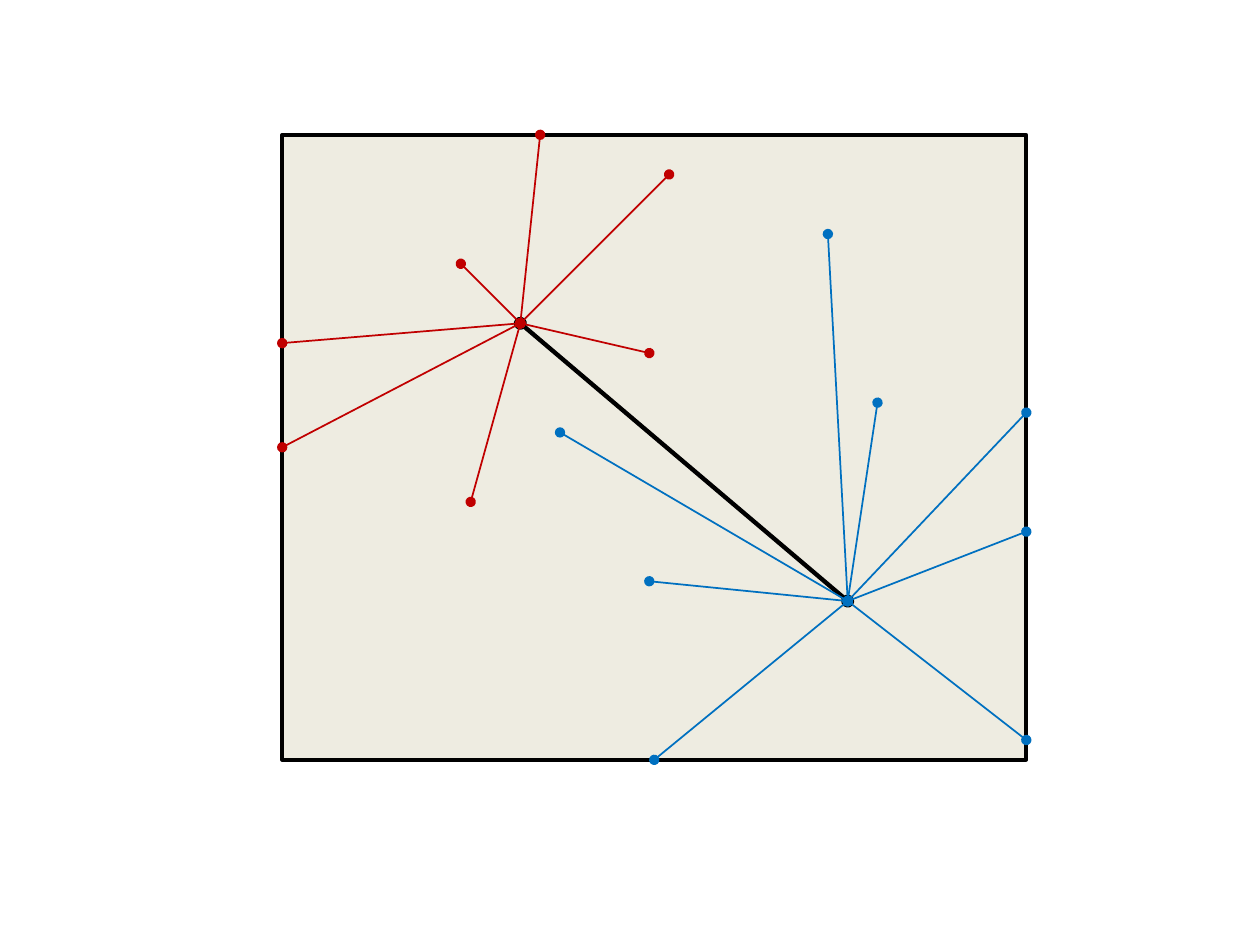
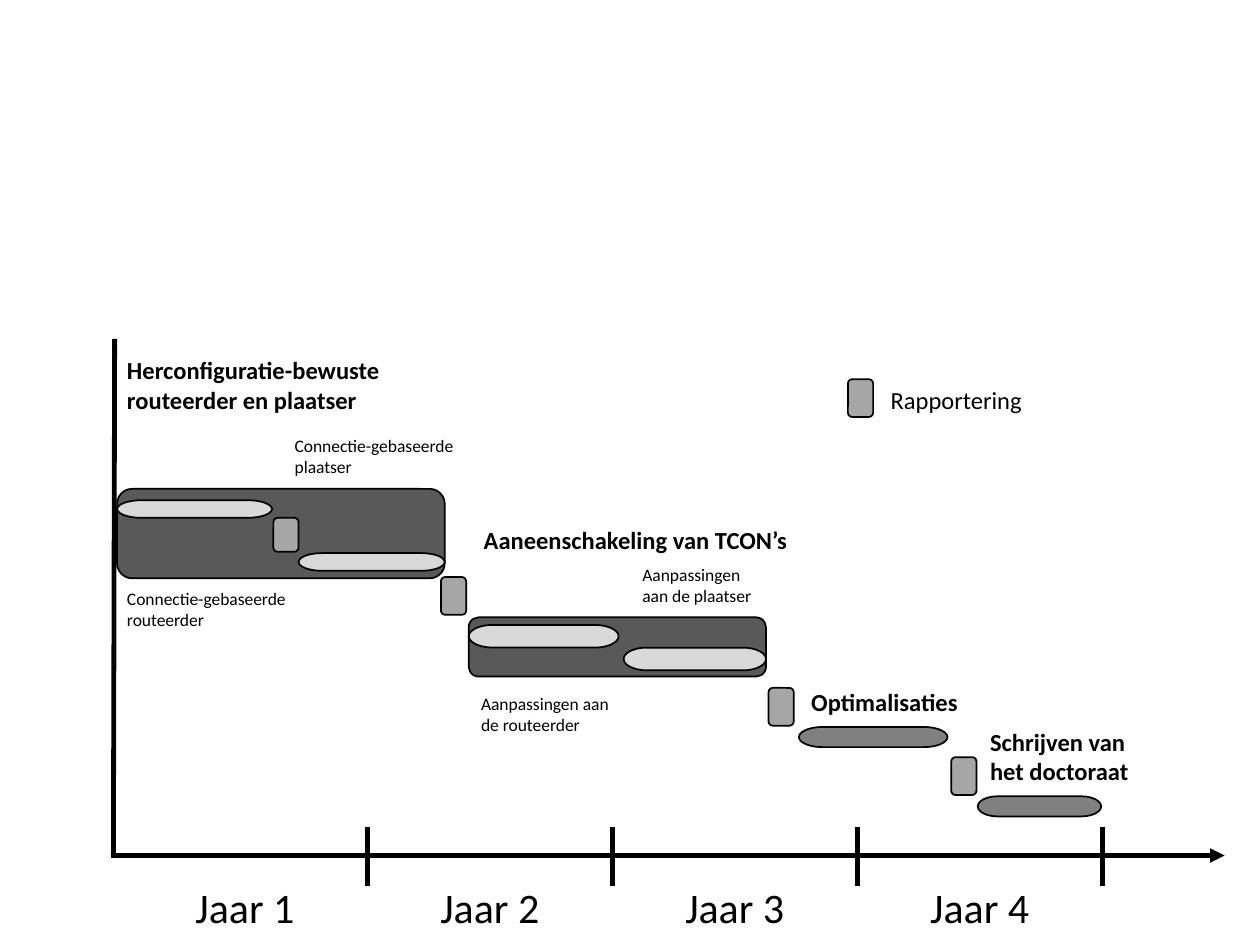
from pptx import Presentation
from pptx.dml.color import RGBColor
from pptx.enum.shapes import MSO_CONNECTOR, MSO_SHAPE
from pptx.enum.text import MSO_ANCHOR, PP_ALIGN
from pptx.oxml.ns import qn
from pptx.util import Inches, Mm, Pt
from lxml import etree

RECT, ROUNDED = MSO_SHAPE.RECTANGLE, MSO_SHAPE.ROUNDED_RECTANGLE
PILL = MSO_SHAPE.FLOWCHART_TERMINATOR
STRAIGHT = MSO_CONNECTOR.STRAIGHT
CENTER, LEFT = PP_ALIGN.CENTER, PP_ALIGN.LEFT
BLACK = RGBColor(0x00, 0x00, 0x00)
CREAM = RGBColor(0xEE, 0xEC, 0xE1)
RED = RGBColor(0xC0, 0x00, 0x00)
BLUE = RGBColor(0x00, 0x70, 0xC0)
PHASE_GRAY = RGBColor(0x59, 0x59, 0x59)
TASK_GRAY = RGBColor(0x80, 0x80, 0x80)
REPORT_GRAY = RGBColor(0xA6, 0xA6, 0xA6)
STEP_GRAY = RGBColor(0xD9, 0xD9, 0xD9)
FONT = "Calibri"

prs = Presentation()
prs.slide_width, prs.slide_height = Inches(10), Inches(7.5)
BLANK = prs.slide_layouts[6]


def add_box(s, preset, left, top, width, height, fill, weight=1):
    sp = s.shapes.add_shape(preset, int(left), int(top), int(width), int(height))
    sp.shadow.inherit = False
    sp.fill.solid()
    sp.fill.fore_color.rgb = fill
    sp.line.color.rgb = BLACK
    sp.line.width = Pt(weight)


def add_line(s, start, end, color, weight, **ends):
    """Draw a line; ends maps headEnd and tailEnd, in that order, to a marker."""
    sp = s.shapes.add_connector(STRAIGHT, *(int(v) for v in (*start, *end)))
    sp.line.color.rgb = color
    sp.line.width = Pt(weight)
    ln = sp.line._get_or_add_ln()
    for tag, marker in ends.items():
        etree.SubElement(ln, qn(f"a:{tag}")).set("type", marker)
    etree.SubElement(sp._element.spPr, qn("a:effectLst"))


# Slide 1: two hubs with their spokes, on a field of 75 by 63 cells
CELL = Mm(2)
FIELD_LEFT, FIELD_TOP = Inches(2.24), Inches(1.07)
FIELD_COLS, FIELD_ROWS = 75, 63
RED_HUB, BLUE_HUB = (24, 19), (57, 47)
red_points = [(0, 21), (39, 4), (18, 13), (0, 31.5), (26, 0), (19, 37), (37, 22)]
blue_points = [(37.5, 63), (75, 61), (28, 30), (60, 27),
               (37, 45), (75, 40), (75, 28), (55, 10)]

s = prs.slides.add_slide(BLANK)
add_box(s, RECT, FIELD_LEFT, FIELD_TOP, FIELD_COLS * CELL, FIELD_ROWS * CELL, CREAM, 2)
links = [(RED_HUB, BLUE_HUB, BLACK, 2.5)]
links += [(point, RED_HUB, RED, 1) for point in red_points]
links += [(point, BLUE_HUB, BLUE, 1) for point in blue_points]
for start, end, color, weight in links:
    start, end = [(FIELD_LEFT + col * CELL, FIELD_TOP + row * CELL)
                  for col, row in (start, end)]
    add_line(s, start, end, color, weight, headEnd="oval", tailEnd="oval")

# Slide 2: four-year planning, on a grid of 100 columns by 75 rows
COL, ROW = prs.slide_width / 100, prs.slide_height / 75
YEAR_COLS, YEAR_START = 19.44, 9.72
AXIS_ROW, TICK_ROWS = 67.9, (70.3, 65.6)
AXIS_WEIGHT = 2.75

s = prs.slides.add_slide(BLANK)
add_line(s, (8.8 * COL, AXIS_ROW * ROW), (97.2 * COL, AXIS_ROW * ROW),
         BLACK, AXIS_WEIGHT, tailEnd="triangle")
add_line(s, (9 * COL, AXIS_ROW * ROW), (9.1 * COL, 26.9 * ROW), BLACK, AXIS_WEIGHT)

labels = [
    ("Herconfiguratie-bewuste routeerder en plaatser", 9.1, 27.7, 26, 5.7, 14, True, LEFT),
    ("Connectie-gebaseerde routeerder", 9.1, 46.2, 15.7, 4.4, 10, False, LEFT),
    ("Connectie-gebaseerde plaatser", 22.4, 34, 15, 4.4, 10, False, LEFT),
    ("Aaneenschakeling van TCON’s", 37.4, 41.2, 26.8, 3.4, 14, True, LEFT),
    ("Aanpassingen aan de routeerder", 37.2, 54.5, 12.6, 4.4, 10, False, LEFT),
    ("Aanpassingen aan de plaatser", 50, 44.3, 11.8, 4.4, 10, False, LEFT),
    ("Optimalisaties", 63.4, 54, 15, 3.4, 14, True, LEFT),
    ("Schrijven van het doctoraat", 77.6, 57.2, 13.4, 5.7, 14, True, LEFT),
    ("Rapportering", 69.7, 30.1, 23.6, 3.4, 14, False, LEFT),
]
for year in range(4):
    year_left = YEAR_START + year * YEAR_COLS
    tick = (year_left + YEAR_COLS) * COL
    add_line(s, *((tick, row * ROW) for row in TICK_ROWS), BLACK, AXIS_WEIGHT)
    labels.append((f"Jaar {year + 1}", year_left, 69.5, YEAR_COLS, 5, 24, False, CENTER))

bars = [
    (ROUNDED, PHASE_GRAY, [(9.3, 38.8, 26, 7.1), (37.2, 49, 23.6, 4.7)]),
    (PILL, STEP_GRAY, [(9.3, 39.7, 12.3, 1.4), (23.7, 43.9, 11.6, 1.4),
                       (37.2, 49.6, 11.9, 1.8), (49.5, 51.4, 11.3, 1.8)]),
    (PILL, TASK_GRAY, [(63.4, 57.7, 11.8, 1.6), (77.6, 63.2, 9.8, 1.6)]),
    (ROUNDED, REPORT_GRAY, [(21.7, 41.1, 2, 2.7), (35, 45.8, 2, 3), (61, 54.6, 2, 3),
                            (75.5, 60.1, 2, 3), (67.3, 30.1, 2, 3)]),
]
for preset, fill, places in bars:
    for left, top, width, height in places:
        add_box(s, preset, left * COL, top * ROW, width * COL, height * ROW, fill)

for text, left, top, width, height, size, bold, align in labels:
    sp = s.shapes.add_textbox(int(left * COL), int(top * ROW),
                              int(width * COL), int(height * ROW))
    tf = sp.text_frame
    tf.word_wrap = True
    tf.vertical_anchor = MSO_ANCHOR.TOP
    tf.text = text
    p = tf.paragraphs[0]
    p.alignment = align
    font = p.runs[0].font
    font.name, font.size, font.bold = FONT, Pt(size), bold
    font.color.rgb = BLACK

prs.save("out.pptx")
